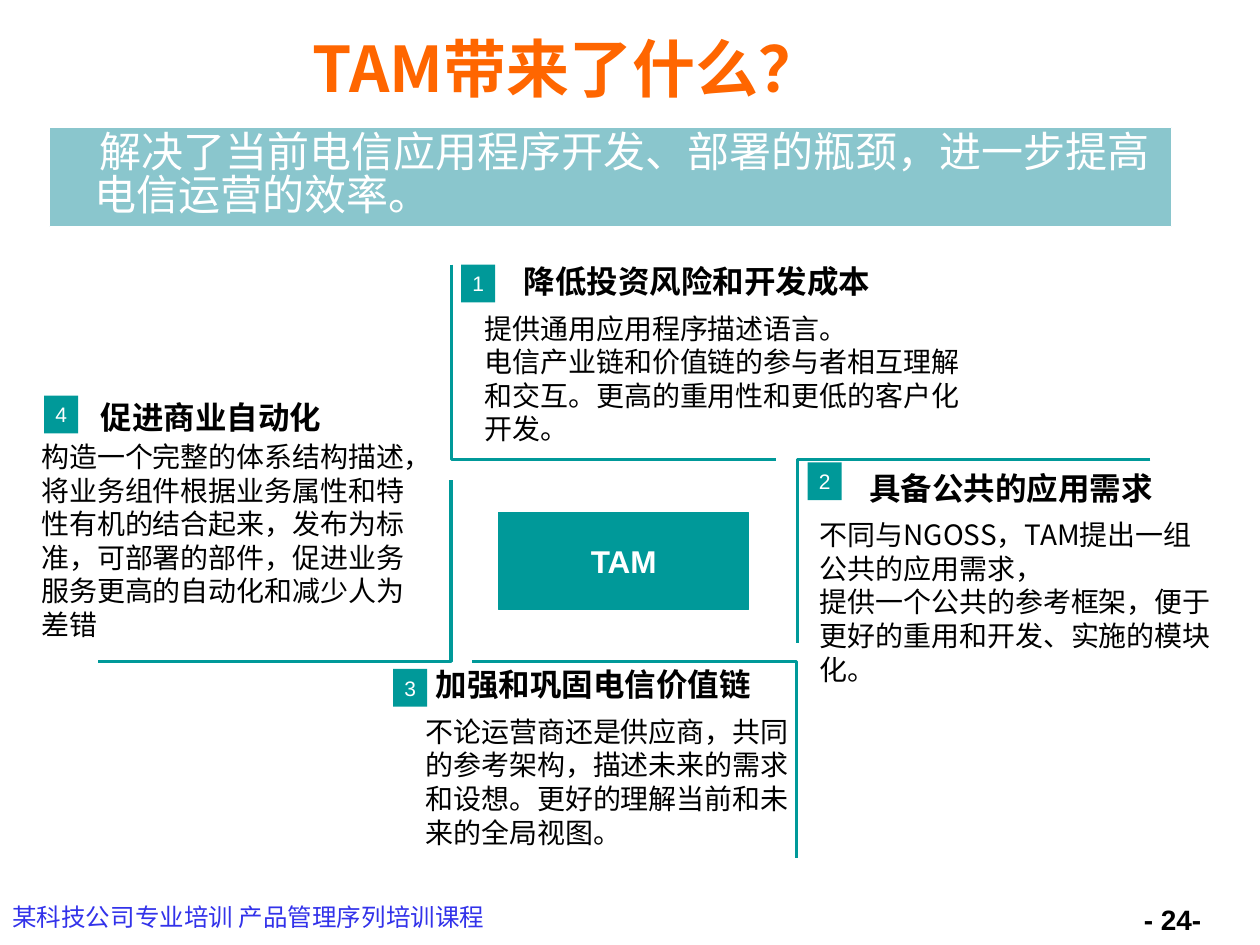
from lxml.etree import SubElement
from pptx import Presentation
from pptx.dml.color import RGBColor
from pptx.enum.shapes import MSO_SHAPE
from pptx.enum.text import MSO_ANCHOR, PP_ALIGN
from pptx.oxml.ns import qn
from pptx.util import Inches, Pt

COLORS = {"teal": "009999", "banner": "8AC6CD", "title": "FF6600",
          "footer": "3232EA", "black": "000000", "white": "FFFFFF"}
CJK = "Noto Sans CJK SC"

prs = Presentation()
prs.slide_width, prs.slide_height = Inches(10), Inches(7.5)
slide = prs.slides.add_slide(prs.slide_layouts[5])
shapes = slide.shapes


def write(shape, *lines, size=16, color="black", font=CJK, bold=False,
          align=PP_ALIGN.LEFT, anchor=MSO_ANCHOR.TOP, margins=(0.1, 0.05), wrap=True):
    """Fill a shape with one paragraph per line, all in the same format."""
    frame = shape.text_frame
    frame.word_wrap, frame.vertical_anchor = wrap, anchor
    frame.margin_left = frame.margin_right = Inches(margins[0])
    frame.margin_top = frame.margin_bottom = Inches(margins[1])
    frame.text = "\n".join(lines)
    for paragraph in frame.paragraphs:
        paragraph.alignment = align
        for run in paragraph.runs:
            run.font.size, run.font.bold, run.font.name = Pt(size), bold, font
            run.font.color.rgb = RGBColor.from_string(COLORS[color])
            SubElement(run.font._element, qn("a:ea")).set("typeface", CJK)
    return frame


def add_block(left, top, width, height, fill):
    block = shapes.add_shape(MSO_SHAPE.RECTANGLE, Inches(left), Inches(top),
                             Inches(width), Inches(height))
    block.shadow.inherit = False
    block.fill.solid()
    block.fill.fore_color.rgb = RGBColor.from_string(COLORS[fill])
    block.line.fill.background()
    return block


# Title
title = shapes.title
title.left, title.top, title.width, title.height = map(Inches, (0, 0.23, 9, 0.61))
write(title, "TAM带来了什么？", size=36, color="title", bold=True,
      align=PP_ALIGN.CENTER, anchor=MSO_ANCHOR.MIDDLE)

# Angled lines around the centre
angles = [
    [(3.58, 2.1), (3.58, 3.65), (6.16, 3.65)],
    [(9.13, 3.65), (6.33, 3.65), (6.33, 5.1)],
    [(6.32, 6.81), (6.32, 5.25), (3.75, 5.25)],
    [(0.78, 5.25), (3.58, 5.25), (3.58, 3.81)],
]
for start, *rest in angles:
    builder = shapes.build_freeform(*map(Inches, start))
    builder.add_line_segments([(Inches(x), Inches(y)) for x, y in rest], close=False)
    angle = builder.convert_to_shape()
    angle.shadow.inherit = False
    angle.fill.background()
    angle.line.color.rgb = RGBColor.from_string(COLORS["teal"])
    angle.line.width = Pt(1.75)

# Centre
badge_format = dict(color="white", font="Arial", align=PP_ALIGN.CENTER,
                    anchor=MSO_ANCHOR.MIDDLE, margins=(0, 0), wrap=False)
centre = add_block(3.96, 4.07, 1.98, 0.77, "teal")
centre.line.color.rgb = RGBColor.from_string(COLORS["teal"])
centre.line.width = Pt(0.5)
write(centre, "TAM", size=18, bold=True, **badge_format)

# Four benefits: number position, heading, heading position, body box, body text
benefits = [
    ((3.66, 2.1), "降低投资风险和开发成本", (4.06, 2.03), (3.75, 2.42, 4.06, 1.48),
     ["提供通用应用程序描述语言。",
      "电信产业链和价值链的参与者相互理解和交互。更高的重用性和更低的客户化开发。"]),
    ((6.41, 3.67), "具备公共的应用需求", (6.8, 3.67), (6.41, 4.06, 3.36, 1.45),
     ["不同与NGOSS，TAM提出一组公共的应用需求，",
      "提供一个公共的参考框架，便于更好的重用和开发、实施的模块化。"]),
    ((3.12, 5.31), "加强和巩固电信价值链", (3.36, 5.23), (3.28, 5.62, 3.12, 1.21),
     ["不论运营商还是供应商，共同的参考架构，描述未来的需求和设想。"
      "更好的理解当前和未来的全局视图。"]),
    ((0.35, 3.14), "促进商业自动化", (0.7, 3.11), (0.23, 3.44, 3.28, 1.72),
     ["构造一个完整的体系结构描述，将业务组件根据业务属性和特性有机的结合起来，"
      "发布为标准，可部署的部件，促进业务服务更高的自动化和减少人为差错"]),
]
for number, (badge_at, heading, heading_at, body_at, body) in enumerate(benefits, 1):
    write(add_block(*badge_at, 0.27, 0.3, "teal"), str(number), size=12, **badge_format)
    heading_box = shapes.add_textbox(*map(Inches, (*heading_at, 3.44, 0.4)))
    write(heading_box, heading, size=18, font="Arial", bold=True)
    write(shapes.add_textbox(*map(Inches, body_at)), *body)

# Banner
banner = add_block(0.39, 1.01, 8.91, 0.79, "banner")
banner.line.color.rgb = RGBColor.from_string(COLORS["white"])
banner.line.width = Pt(0.75)
summary = write(banner, "解决了当前电信应用程序开发、部署的瓶颈，进一步提高电信运营的效率。",
                size=24, color="white").paragraphs[0]
summary.line_spacing = 0.85
indent = summary._p.get_or_add_pPr()
indent.set("marL", str(Inches(0.26)))
indent.set("indent", str(Inches(0.04)))

# Footer and page number
footer = shapes.add_textbox(*map(Inches, (0, 7.11, 3.98, 0.34)))
write(footer, "某科技公司专业培训 产品管理序列培训课程", size=14, color="footer")
page = shapes.add_textbox(*map(Inches, (8.98, 7.11, 0.78, 0.39)))
write(page, "- 24-", font="Arial", bold=True)

prs.save("out.pptx")
